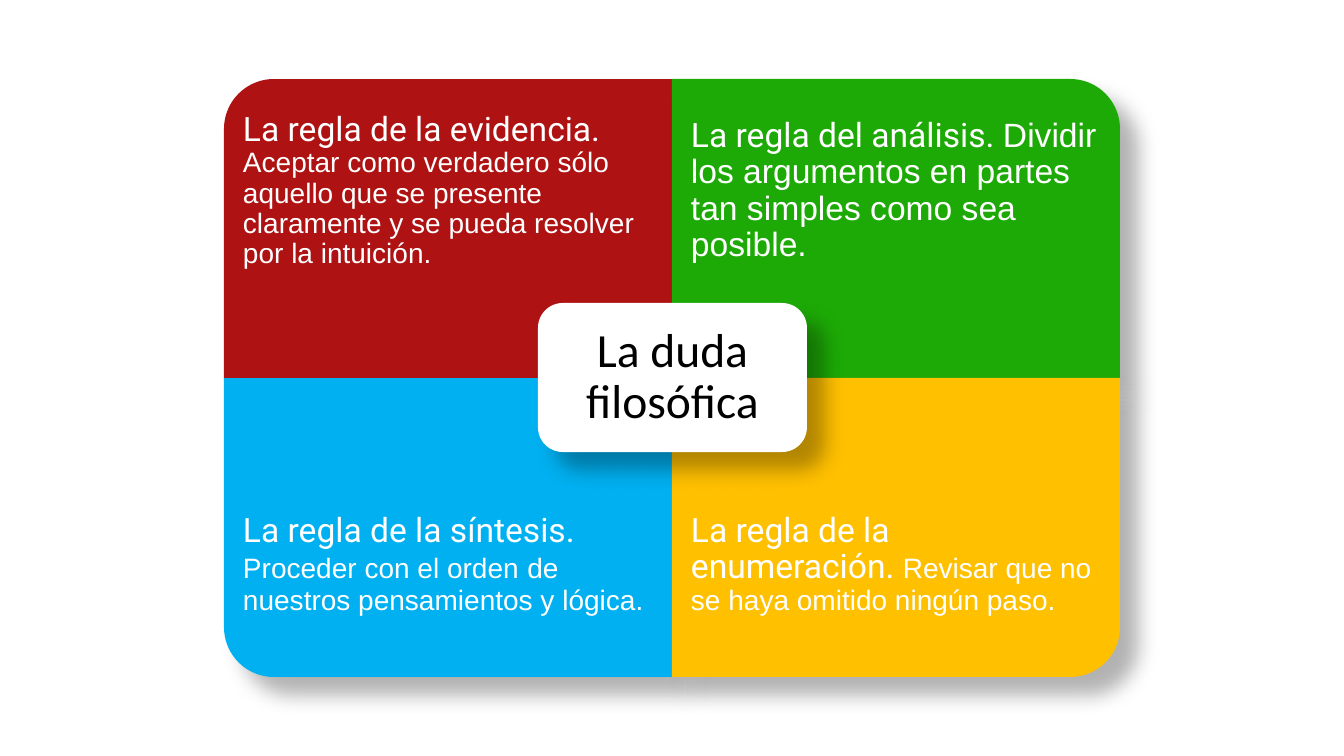
from lxml import etree
from pptx import Presentation
from pptx.dml.color import RGBColor
from pptx.enum.shapes import MSO_SHAPE
from pptx.enum.text import MSO_ANCHOR, PP_ALIGN
from pptx.oxml.ns import qn
from pptx.util import Pt

ROUND_ONE = MSO_SHAPE.ROUND_1_RECTANGLE
ROUND_ALL = MSO_SHAPE.ROUNDED_RECTANGLE
MIDDLE = MSO_ANCHOR.MIDDLE
CENTER = PP_ALIGN.CENTER

SCALE = 914400 / 100.8
COLORS = {"red": "AE1212", "green": "1DAA06", "blue": "00B0F0",
          "gold": "FFC000", "white": "FFFFFF", "black": "000000"}


def add_card(kind, box, color, turn=0):
    """Add a filled card with a soft shadow to the lower right."""
    card = slide.shapes.add_shape(kind, *[round(n * SCALE) for n in box])
    card.rotation = turn
    card.fill.solid()
    card.fill.fore_color.rgb = RGBColor.from_string(COLORS[color])
    card.line.fill.background()
    card.shadow.inherit = False
    effects = card._element.spPr.find(qn("a:effectLst"))
    shade = etree.SubElement(effects, qn("a:outerShdw"), blurRad=str(Pt(15)),
                             dist=str(Pt(18)), dir="2700000", rotWithShape="0")
    tint = etree.SubElement(shade, qn("a:srgbClr"), val=COLORS["black"])
    etree.SubElement(tint, qn("a:alpha"), val="30000")
    return card


def write(shape, runs, color, inset):
    """Fill a shape with one paragraph of (text, font, size) runs."""
    frame = shape.text_frame
    frame.word_wrap = True
    frame.vertical_anchor = MIDDLE
    frame.margin_left = frame.margin_right = round(inset * SCALE)
    frame.margin_top = frame.margin_bottom = round(inset * SCALE)
    para = frame.paragraphs[0]
    para.line_spacing = 0.9
    para.font.color.rgb = RGBColor.from_string(COLORS[color])
    for text, font, size in runs:
        run = para.add_run()
        run.text = text
        run.font.name = font
        run.font.size = Pt(size)
        run.font.color.rgb = RGBColor.from_string(COLORS[color])
    return para


deck = Presentation()
deck.slide_width = round(1344 * SCALE)
deck.slide_height = round(756 * SCALE)
slide = deck.slides.add_slide(deck.slide_layouts[6])

# Four rules: column, row, turn, color, heading, body runs
rules = [
    (0, 0, 270, "red", "La regla de la evidencia. ",
     [("Aceptar como verdadero sólo aquello que se presente claramente "
       "y se pueda resolver por la intuición.", "Arial", 20)]),
    (1, 0, 0, "green", "La regla del análisis. ",
     [("Dividir los argumentos en partes tan simples como sea posible.",
       "Arial", 24)]),
    (0, 1, 180, "blue", "La regla de la síntesis. ",
     [("Proceder con el orden", "Arial", 20), (" ", "Roboto", 24),
      ("de nuestros pensamientos y lógica.", "Arial", 20)]),
    (1, 1, 90, "gold", "La regla de la enumeración. ",
     [("Revisar que no se haya omitido ningún paso.", "Arial", 20)]),
]
LEFT, TOP, WIDE, HIGH, TEXT_HIGH = 224, 79, 448, 299, 224

for col, row, turn, color, head, body in rules:
    x, y = LEFT + col * WIDE, TOP + row * HIGH
    # A quarter turn swaps the sides around the same middle
    wide, high = (HIGH, WIDE) if turn % 180 else (WIDE, HIGH)
    box = (x + (WIDE - wide) / 2, y + (HIGH - high) / 2, wide, high)
    add_card(ROUND_ONE, box, color, turn)

    # Text keeps to the outer three quarters of the card
    area = (x, y + row * (HIGH - TEXT_HIGH), WIDE, TEXT_HIGH)
    label = slide.shapes.add_textbox(*[round(n * SCALE) for n in area])
    write(label, [(head, "Roboto", 24)] + body, "white", 19)

# Middle card
hub = add_card(ROUND_ALL, (538, 303, 269, 149), "white")
title = write(hub, [("La duda filosófica", "Calibri", 34)], "black", 22)
title.alignment = CENTER

deck.save("out.pptx")
